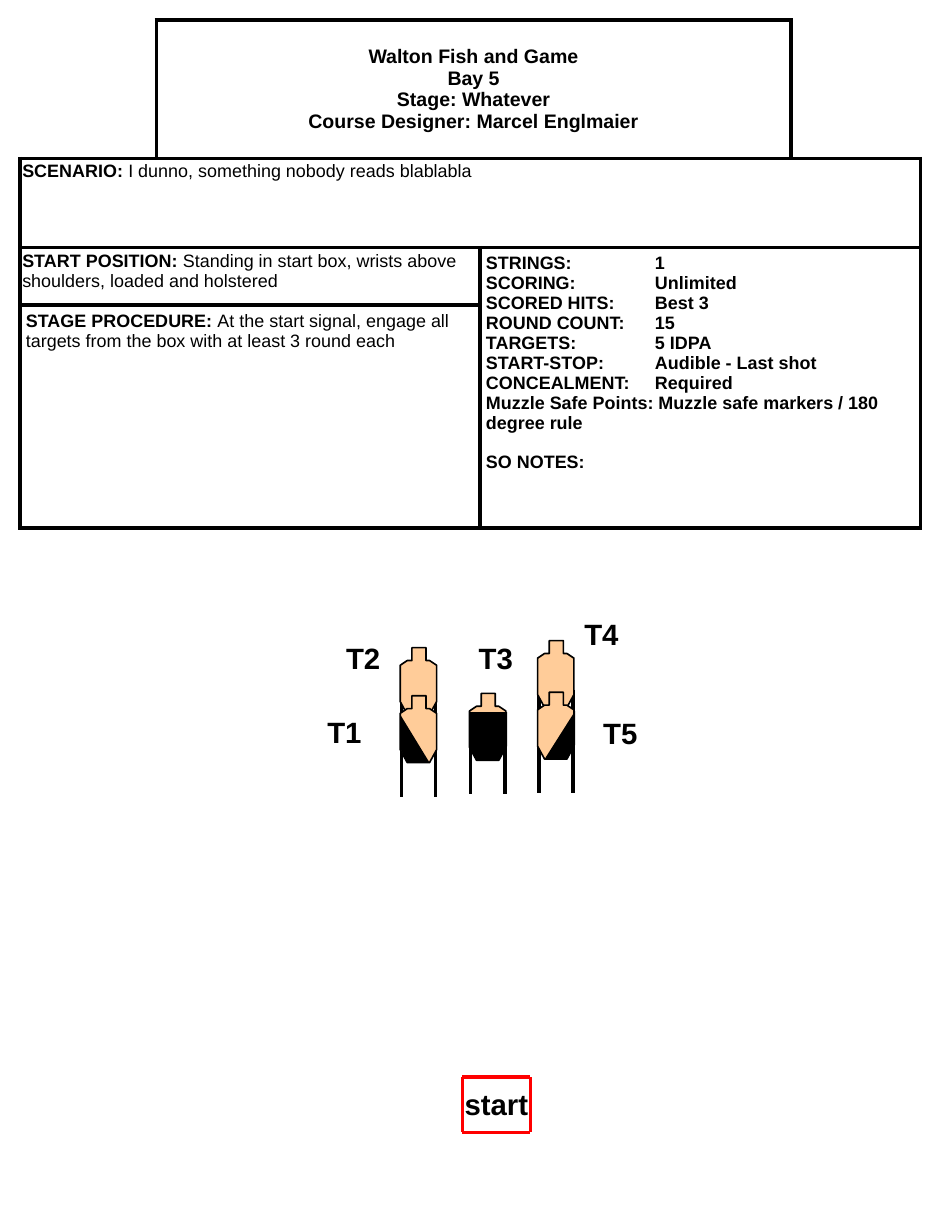
from lxml import etree
from pptx import Presentation
from pptx.dml.color import RGBColor
from pptx.enum.shapes import MSO_CONNECTOR
from pptx.enum.text import MSO_ANCHOR, MSO_AUTO_SIZE, PP_ALIGN
from pptx.oxml.ns import qn
from pptx.util import Inches, Pt

STRAIGHT = MSO_CONNECTOR.STRAIGHT
MIDDLE, TOP = MSO_ANCHOR.MIDDLE, MSO_ANCHOR.TOP
CENTER, LEFT = PP_ALIGN.CENTER, PP_ALIGN.LEFT
FIT_SHAPE = MSO_AUTO_SIZE.SHAPE_TO_FIT_TEXT

FONT = "Arial"
COLORS = {"ink": "000000", "paper": "FFFFFF", "target": "FFCC99", "start": "FF0000"}
BORDER = 2.25

COLUMNS = [1.16, 2.76, 2.65, 1.1]
ROWS = [1.18, 0.76, 0.49, 1.9]
MERGES = [((0, 1), (0, 2)), ((1, 0), (1, 3)), ((2, 0), (2, 1)),
          ((2, 2), (3, 3)), ((3, 0), (3, 1))]
CORNER_SIDES = {(0, 0): "RB", (0, 3): "LB"}

TITLE = ["Walton Fish and Game", "Bay 5", "Stage: Whatever",
         "Course Designer: Marcel Englmaier"]
SCENARIO = ("SCENARIO: ", "I dunno, something nobody reads blablabla")
START_POSITION = ("START POSITION: ",
                  "Standing in start box, wrists above shoulders, loaded and holstered")
PROCEDURE = ("STAGE PROCEDURE: ",
             "At the start signal, engage all targets from the box with at least 3 round each")
RULES = ["STRINGS:\t1", "SCORING:\tUnlimited", "SCORED HITS:\tBest 3",
         "ROUND COUNT:\t15", "TARGETS:\t5 IDPA", "START-STOP:\tAudible - Last shot",
         "CONCEALMENT:\tRequired",
         "Muzzle Safe Points: Muzzle safe markers / 180 degree rule"]
RULE_TAB = 1.44

# Points are measured from the top left of a target
SILHOUETTE = [(0.1, 0), (0.22, 0), (0.22, 0.11), (0.25, 0.11), (0.31, 0.15),
              (0.31, 0.46), (0.25, 0.57), (0.06, 0.57), (0, 0.46), (0, 0.15),
              (0.06, 0.11), (0.1, 0.11)]
FULL_COVER = [(0, 0.16), (0.32, 0.16), (0.32, 0.45), (0.25, 0.57), (0.06, 0.57), (0, 0.46)]
LEFT_COVER = [(0, 0.16), (0, 0.45), (0.06, 0.57), (0.25, 0.57)]
RIGHT_COVER = [(0.32, 0.16), (0.32, 0.45), (0.25, 0.57), (0.06, 0.57)]
TARGETS = [(3.41, 5.52, None), (4, 5.91, FULL_COVER), (3.41, 5.93, LEFT_COVER),
           (4.58, 5.46, None), (4.58, 5.9, RIGHT_COVER)]
LABELS = [("T1", 2.69, 6.04), ("T2", 2.85, 5.41), ("T3", 3.98, 5.41),
          ("T4", 4.88, 5.2), ("T5", 5.04, 6.05)]


def color(name):
    return RGBColor.from_string(COLORS[name])


def add_run(paragraph, text, size, bold=True):
    run = paragraph.add_run()
    run.text = text
    run.font.name = FONT
    run.font.size = Pt(size)
    run.font.bold = bold
    run.font.color.rgb = color("ink")


def add_tab_stop(paragraph, position):
    tabs = etree.SubElement(paragraph._p.get_or_add_pPr(), qn("a:tabLst"))
    etree.SubElement(tabs, qn("a:tab"), pos=str(Inches(position)), algn="l")


def write_cell(cell, paragraphs, size=11, margins=(0.05, 0.05), anchor=TOP, align=LEFT):
    """Fill a cell; each paragraph is a bold lead and, optionally, plain text."""
    cell.margin_left = cell.margin_right = Inches(margins[0])
    cell.margin_top = cell.margin_bottom = Inches(margins[1])
    cell.vertical_anchor = anchor
    frame = cell.text_frame
    for index, (lead, *rest) in enumerate(paragraphs):
        paragraph = frame.add_paragraph() if index else frame.paragraphs[0]
        paragraph.alignment = align
        if "\t" in lead:
            add_tab_stop(paragraph, RULE_TAB)
        add_run(paragraph, lead, size)
        for text in rest:
            add_run(paragraph, text, size, bold=False)


def style_cell(cell, sides):
    """Draw the named borders, hide the others and paint the cell white."""
    properties = cell._tc.get_or_add_tcPr()
    for side in "LRTB":
        line = etree.SubElement(properties, qn(f"a:ln{side}"), w=str(Pt(BORDER)))
        if side in sides:
            fill = etree.SubElement(line, qn("a:solidFill"))
            etree.SubElement(fill, qn("a:srgbClr"), val=COLORS["ink"])
        else:
            etree.SubElement(line, qn("a:noFill"))
    cell.fill.solid()
    cell.fill.fore_color.rgb = color("paper")


def add_stage_table(slide):
    table = slide.shapes.add_table(
        len(ROWS), len(COLUMNS), Inches(0.17), Inches(0.17),
        Inches(sum(COLUMNS)), Inches(sum(ROWS))).table
    table.first_row = table.horz_banding = False
    for column, width in zip(table.columns, COLUMNS):
        column.width = Inches(width)
    for row, height in zip(table.rows, ROWS):
        row.height = Inches(height)
    for row in range(len(ROWS)):
        for column in range(len(COLUMNS)):
            style_cell(table.cell(row, column), CORNER_SIDES.get((row, column), "LRTB"))
    for first, last in MERGES:
        table.cell(*first).merge(table.cell(*last))

    write_cell(table.cell(0, 1), [(line,) for line in TITLE], 12, anchor=MIDDLE, align=CENTER)
    write_cell(table.cell(1, 0), [SCENARIO], margins=(0.02, 0.04))
    table.cell(1, 0).text_frame.paragraphs[0].line_spacing = 0.9
    write_cell(table.cell(2, 0), [START_POSITION], margins=(0.02, 0.03))
    write_cell(table.cell(3, 0), [PROCEDURE])
    rules = table.cell(2, 2)
    write_cell(rules, [(rule,) for rule in RULES + ["SO NOTES:"]])
    rules.text_frame.paragraphs[-1].space_before = Pt(12)


def add_line(shapes, start, end, color_name, width):
    line = shapes.add_connector(STRAIGHT, *map(Inches, start + end))
    line.line.color.rgb = color(color_name)
    line.line.width = Pt(width)
    etree.SubElement(line._element.spPr, qn("a:effectLst"))


def add_outline(shapes, left, top, points, fill, line_width):
    corners = [(Inches(left + x), Inches(top + y)) for x, y in points]
    builder = shapes.build_freeform(*corners[0])
    builder.add_line_segments(corners[1:], close=True)
    shape = builder.convert_to_shape()
    shape.shadow.inherit = False
    shape.fill.solid()
    shape.fill.fore_color.rgb = color(fill)
    if line_width:
        shape.line.color.rgb = color("ink")
        shape.line.width = Pt(line_width)
    else:
        shape.line.fill.background()


def add_target(slide, left, top, cover):
    """Two posts and a silhouette, with an optional black hard cover."""
    shapes = slide.shapes.add_group_shape().shapes
    for x in (left + 0.01, left + 0.3):
        add_line(shapes, (x, top + 0.42), (x, top + 0.86), "ink", BORDER)
    add_outline(shapes, left, top, SILHOUETTE, "target", 1)
    if cover:
        add_outline(shapes, left, top, cover, "ink", 0)


def add_label(shapes, text, left, top, width=0.58):
    box = shapes.add_textbox(Inches(left), Inches(top), Inches(width), Inches(0.4))
    frame = box.text_frame
    frame.word_wrap = True
    frame.auto_size = FIT_SHAPE
    add_run(frame.paragraphs[0], text, 18)


def add_start_box(slide):
    shapes = slide.shapes.add_group_shape().shapes
    left, right, top, bottom = 3.94, 4.52, 9.18, 9.65
    for y in (top, bottom):
        add_line(shapes, (left, y), (right, y), "start", 2)
    for x in (left, right):
        add_line(shapes, (x, top), (x, bottom), "start", 2)
    add_label(shapes, "start", 3.86, 9.21, 0.86)


def main():
    presentation = Presentation()
    presentation.slide_width = Inches(8)
    presentation.slide_height = Inches(10.5)
    slide = presentation.slides.add_slide(presentation.slide_layouts[6])
    add_stage_table(slide)
    for text, left, top in LABELS:
        add_label(slide.shapes, text, left, top)
    add_start_box(slide)
    for left, top, cover in TARGETS:
        add_target(slide, left, top, cover)
    presentation.save("out.pptx")


if __name__ == "__main__":
    main()
